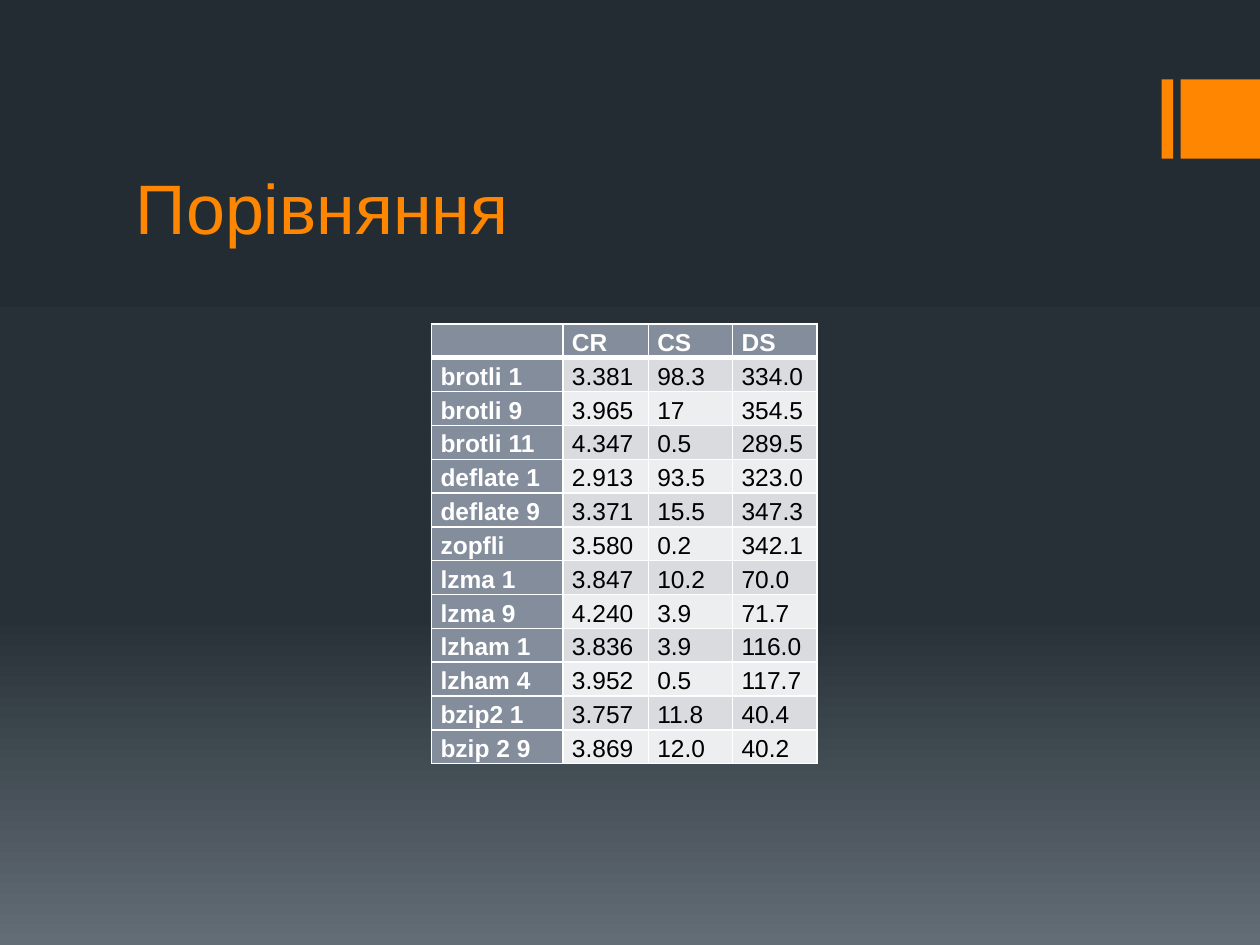
from copy import deepcopy
from dataclasses import dataclass

from lxml.etree import SubElement
from pptx import Presentation
from pptx.dml.color import RGBColor
from pptx.enum.shapes import MSO_SHAPE
from pptx.enum.text import MSO_ANCHOR, PP_ALIGN
from pptx.oxml.ns import qn
from pptx.util import Cm, Pt

ORANGE, WHITE, BLACK = "FF8600", "FFFFFF", "000000"
HEADING, BANDS = "838D9B", ("D9DBDE", "EDEEEF")
BACKDROP = ((0, "242C33"), (0.65, "273037"), (1, "636D76"))
COLUMN_WIDTHS = (2.65, 1.72, 1.7, 1.7)
ROW_HEIGHT = 0.64


@dataclass(frozen=True)
class Accent:
    left: float
    width: float


@dataclass(frozen=True)
class Codec:
    name: str
    ratio: str
    compression: str
    decompression: str

    def values(self) -> tuple[str, ...]:
        return self.name, self.ratio, self.compression, self.decompression


ACCENTS = (Accent(23.42, 0.23), Accent(23.8, 1.6))
CODECS = (
    Codec("", "СR", "CS", "DS"),
    Codec("brotli 1", "3.381", "98.3", "334.0"),
    Codec("brotli 9", "3.965", "17", "354.5"),
    Codec("brotli 11", "4.347", "0.5", "289.5"),
    Codec("deflate 1", "2.913", "93.5", "323.0"),
    Codec("deflate 9", "3.371", "15.5", "347.3"),
    Codec("zopfli", "3.580", "0.2", "342.1"),
    Codec("lzma 1", "3.847", "10.2", "70.0"),
    Codec("lzma 9", "4.240", "3.9", "71.7"),
    Codec("lzham 1", "3.836", "3.9", "116.0"),
    Codec("lzham 4", "3.952", "0.5", "117.7"),
    Codec("bzip2 1", "3.757", "11.8", "40.4"),
    Codec("bzip 2 9", "3.869", "12.0", "40.2"),
)


def color(value: str) -> RGBColor:
    return RGBColor.from_string(value)


def apply(target, formats: dict) -> None:
    for attribute, value in formats.items():
        setattr(target, attribute, value)


def paint(fill, value: str) -> None:
    fill.solid()
    fill.fore_color.rgb = color(value)


def write(paragraph, text: str, size: float, ink: str, bold: bool = False) -> None:
    run = paragraph.add_run()
    run.text = text
    apply(run.font, {"name": "Arial", "size": Pt(size), "bold": bold})
    run.font.color.rgb = color(ink)


def paint_backdrop(slide) -> None:
    fill = slide.background.fill
    fill.gradient()
    fill.gradient_angle = 270
    stop_list = next(slide.element.iter(qn("a:gsLst")))
    stop_list.append(deepcopy(stop_list[-1]))
    for stop, (position, shade) in zip(fill.gradient_stops, BACKDROP):
        stop.color.rgb = color(shade)
        stop.position = position


def draw_accent(slide, accent: Accent) -> None:
    bar = slide.shapes.add_shape(
        MSO_SHAPE.RECTANGLE, Cm(accent.left), Cm(1.6), Cm(accent.width), Cm(1.6))
    bar.shadow.inherit = False
    paint(bar.fill, ORANGE)
    bar.line.fill.background()


def draw_title(slide, text: str) -> None:
    frame = slide.shapes.add_textbox(Cm(2.49), Cm(1.93), Cm(20.32), Cm(3.2)).text_frame
    apply(frame, {"word_wrap": True, "vertical_anchor": MSO_ANCHOR.BOTTOM})
    write(frame.paragraphs[0], text, 40, ORANGE)


def draw_borders(cell, widths: dict[str, float]) -> None:
    properties = cell._tc.get_or_add_tcPr()
    for index, (side, width) in enumerate(widths.items()):
        line = SubElement(properties, qn(f"a:ln{side}"), w=str(Pt(width)))
        SubElement(SubElement(line, qn("a:solidFill")), qn("a:srgbClr"), val=WHITE)
        properties.insert(index, line)


def fill_cell(cell, text: str, row: int, column: int) -> None:
    heading = row == 0 or column == 0
    apply(cell, {
        "margin_left": Cm(0.18), "margin_right": Cm(0.18),
        "margin_top": 0, "margin_bottom": 0,
        "vertical_anchor": MSO_ANCHOR.MIDDLE,
    })
    paint(cell.fill, HEADING if heading else BANDS[(row - 1) % 2])
    draw_borders(cell, {"L": 1, "R": 1, "T": 3 if row == 1 else 1, "B": 3 if row == 0 else 1})
    paragraph = cell.text_frame.paragraphs[0]
    apply(paragraph, {"alignment": PP_ALIGN.JUSTIFY, "line_spacing": 1.15})
    if text:
        write(paragraph, text, 14, WHITE if heading else BLACK, heading)
    else:
        SubElement(paragraph._p, qn("a:endParaRPr"), sz="1400")


def draw_comparison(slide) -> None:
    table = slide.shapes.add_table(
        len(CODECS), len(COLUMN_WIDTHS), Cm(8.7), Cm(6.53),
        Cm(sum(COLUMN_WIDTHS)), Cm(ROW_HEIGHT * len(CODECS))).table
    apply(table, {"first_row": True, "first_col": True, "horz_banding": False})
    for column, width in zip(table.columns, COLUMN_WIDTHS):
        column.width = Cm(width)
    for row, codec in enumerate(CODECS):
        table.rows[row].height = Cm(ROW_HEIGHT)
        for column, text in enumerate(codec.values()):
            fill_cell(table.cell(row, column), text, row, column)


presentation = Presentation()
apply(presentation, {"slide_width": Cm(25.4), "slide_height": Cm(19.05)})
slide = presentation.slides.add_slide(presentation.slide_layouts[6])
paint_backdrop(slide)
for accent in ACCENTS:
    draw_accent(slide, accent)
draw_title(slide, "Порівняння")
draw_comparison(slide)
presentation.save("out.pptx")
